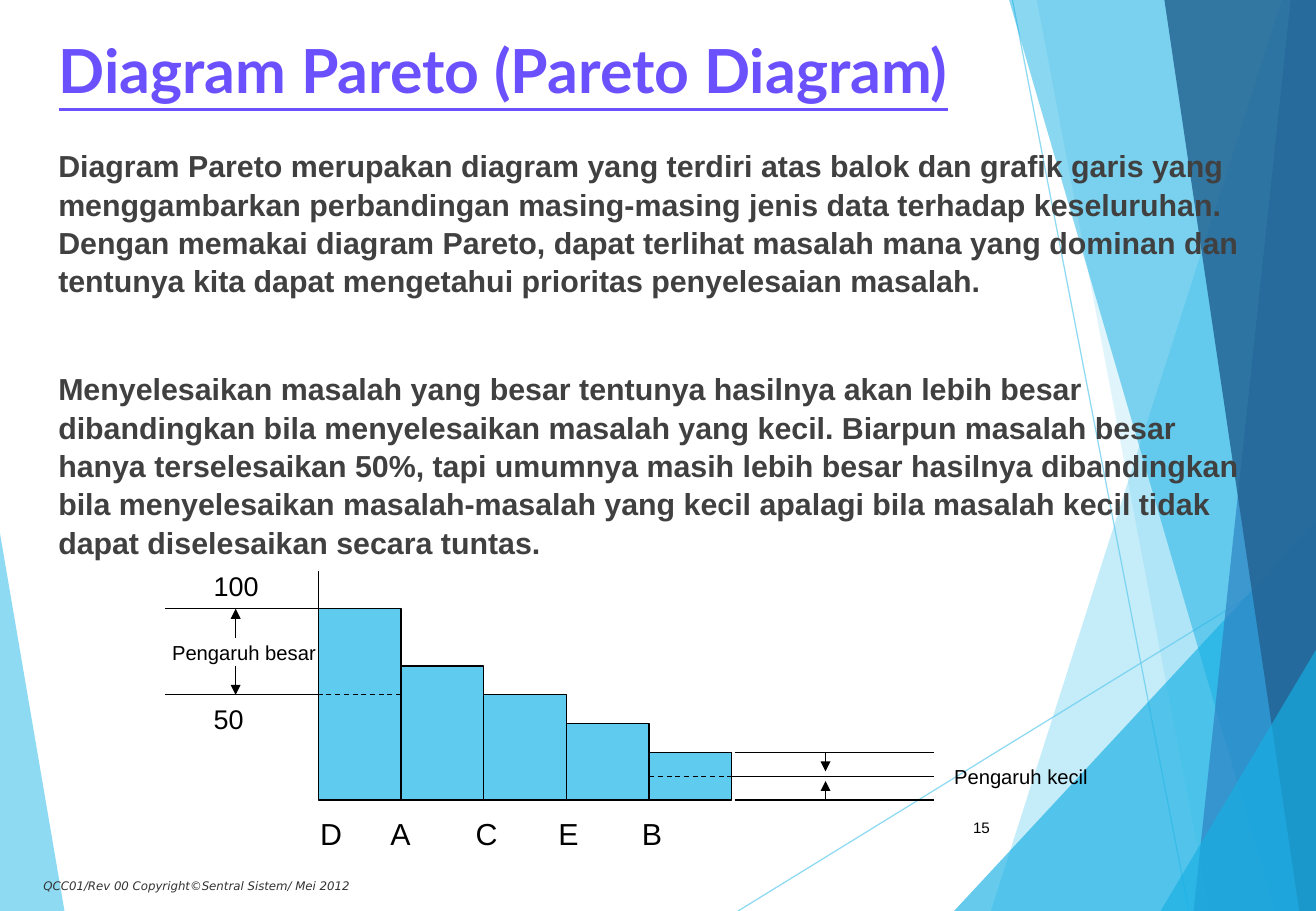
from dataclasses import dataclass

import pptx
import pptx.dml.color
import pptx.enum.dml
import pptx.enum.shapes
import pptx.enum.text
import pptx.oxml
import pptx.oxml.ns
import pptx.util
from pptx.util import Cm

WIDTH, HEIGHT = 27.53, 19.05
COLORS = {
    "sky": "5FCBEF",
    "cyan": "17B0E4",
    "blue": "2E83C3",
    "navy": "236292",
    "violet": "6A51FD",
    "body": "404040",
    "footer": "333333",
    "black": "000000",
}
BASELINE = 16.73
BAR_LEFT, BAR_WIDTH = 6.66, 1.73
BAR_HEIGHTS = [4.0, 2.8, 2.2, 1.6, 1.0]
FULL = BASELINE - BAR_HEIGHTS[0]
HALF = BASELINE - BAR_HEIGHTS[2]
LOW = BASELINE - BAR_HEIGHTS[-1]
LOW_MIDDLE = BASELINE - BAR_HEIGHTS[-1] / 2

Point = tuple[float, float]


@dataclass
class Facet:
    points: list[Point]
    color: str
    opacity: int


@dataclass
class Line:
    start: Point
    end: Point
    color: str = "black"
    opacity: int = 100
    dashed: bool = False
    arrow: bool = False


@dataclass
class Label:
    text: str
    left: float
    top: float
    width: float
    size: int


LEFT_FACET = Facet([(0, 11.15), (1.35, HEIGHT), (0, HEIGHT)], "sky", 70)
BACKDROP_LINES = [
    Line((15.44, HEIGHT), (WIDTH, 11.61), "sky", 70),
    Line((21.18, 0), (24.87, HEIGHT), "sky", 70),
]


def right_facet(top: float, bottom: float, color: str, opacity: int) -> Facet:
    return Facet([(top, 0), (bottom, HEIGHT), (WIDTH, HEIGHT), (WIDTH, 0)], color, opacity)


def corner_facet(left: float, top: float) -> Facet:
    return Facet([(left, HEIGHT), (WIDTH, top), (WIDTH, HEIGHT)], "cyan", 66)


RIGHT_FACETS = [
    right_facet(26.82, 20.73, "sky", 36),
    right_facet(21.69, 25.3, "sky", 20),
    corner_facet(19.96, 10.9),
    right_facet(21.11, 26.67, "cyan", 50),
    right_facet(27.0, 24.97, "blue", 70),
    right_facet(24.36, 27.18, "navy", 82),
    corner_facet(24.28, 13.59),
]
CHART_LINES = [
    Line((15.37, LOW), (19.53, LOW)),
    Line((15.37, BASELINE), (19.53, BASELINE)),
    Line((17.27, BASELINE), (17.27, LOW_MIDDLE + 0.1), arrow=True),
    Line((17.27, LOW), (17.27, LOW_MIDDLE - 0.1), arrow=True),
    Line((BAR_LEFT + BAR_WIDTH, HALF), (BAR_LEFT, HALF), dashed=True),
    Line((BAR_LEFT, FULL), (3.45, FULL)),
    Line((BAR_LEFT, HALF), (3.45, HALF)),
    Line((BAR_LEFT, 11.94), (BAR_LEFT, FULL)),
    Line((4.93, 13.92), (4.93, HALF), arrow=True),
    Line((4.93, 13.34), (4.93, FULL), arrow=True),
]
CHART_LABELS = [
    Label("Pengaruh besar", 3.35, 13.34, 3.8, 12),
    Label("Pengaruh kecil", 19.71, 15.93, 3.8, 12),
    Label("100", 4.22, 11.94, 1.8, 16),
    Label("50", 4.22, 14.73, 1.8, 16),
]
BODY_TEXT = (
    "Diagram Pareto merupakan diagram yang terdiri atas balok dan grafik garis yang "
    "menggambarkan perbandingan masing-masing jenis data terhadap keseluruhan. Dengan "
    "memakai diagram Pareto, dapat terlihat masalah mana yang dominan dan tentunya kita "
    "dapat mengetahui prioritas penyelesaian masalah.\n"
    "Menyelesaikan masalah yang besar tentunya hasilnya akan lebih besar dibandingkan bila "
    "menyelesaikan masalah yang kecil. Biarpun masalah besar hanya terselesaikan 50%, tapi "
    "umumnya masih lebih besar hasilnya dibandingkan bila menyelesaikan masalah-masalah yang "
    "kecil apalagi bila masalah kecil tidak dapat diselesaikan secara tuntas."
)


def rgb(name: str) -> pptx.dml.color.RGBColor:
    return pptx.dml.color.RGBColor.from_string(COLORS[name])


def add_element(parent, tag: str, **attributes):
    element = pptx.oxml.parse_xml(f"<{tag} {pptx.oxml.ns.nsdecls('a')}/>")
    for name, value in attributes.items():
        element.set(name, str(value))
    parent.append(element)
    return element


def set_opacity(shape, opacity: int) -> None:
    if opacity < 100:
        color = shape.element.find(".//" + pptx.oxml.ns.qn("a:srgbClr"))
        add_element(color, "a:alpha", val=opacity * 1000)


def write_text(shape, text: str, *, size: float, font: str = "Arial", color: str = "black",
               bold: bool = False, italic: bool = False, underline: bool = False,
               align: str = "LEFT", anchor: str = "TOP", gap: float = 0,
               line_spacing: float = 1.0, tabs: tuple[float, ...] = ()) -> None:
    frame = shape.text_frame
    frame.text = text
    frame.word_wrap = True
    frame.auto_size = pptx.enum.text.MSO_AUTO_SIZE.NONE
    frame.vertical_anchor = pptx.enum.text.MSO_ANCHOR[anchor]
    for index, paragraph in enumerate(frame.paragraphs):
        paragraph.alignment = pptx.enum.text.PP_ALIGN[align]
        paragraph.line_spacing = line_spacing
        paragraph.space_before = pptx.util.Pt(gap if index else 0)
        if tabs:
            tab_list = add_element(paragraph._p.get_or_add_pPr(), "a:tabLst")
            for position in tabs:
                add_element(tab_list, "a:tab", pos=Cm(position), algn="l")
        for run in paragraph.runs:
            run.font.size = pptx.util.Pt(size)
            run.font.name = font
            run.font.bold = bold
            run.font.italic = italic
            run.font.underline = underline
            run.font.color.rgb = rgb(color)


def add_text(slide, text: str, box: tuple[float, float, float, float], **text_format) -> None:
    write_text(slide.shapes.add_textbox(*map(Cm, box)), text, **text_format)


def add_facet(slide, facet: Facet) -> None:
    start, *others = [(Cm(x), Cm(y)) for x, y in facet.points]
    builder = slide.shapes.build_freeform(*start)
    builder.add_line_segments(others)
    shape = builder.convert_to_shape()
    shape.shadow.inherit = False
    shape.fill.solid()
    shape.fill.fore_color.rgb = rgb(facet.color)
    shape.line.fill.background()
    set_opacity(shape, facet.opacity)


def add_line(slide, line: Line):
    connector = slide.shapes.add_connector(
        pptx.enum.shapes.MSO_CONNECTOR.STRAIGHT, *map(Cm, (*line.start, *line.end)))
    connector.line.color.rgb = rgb(line.color)
    connector.line.width = pptx.util.Pt(0.75)
    if line.dashed:
        connector.line.dash_style = pptx.enum.dml.MSO_LINE.DASH
    if line.arrow:
        add_element(connector.line._get_or_add_ln(), "a:tailEnd", type="triangle")
    add_element(connector.element.spPr, "a:effectLst")
    set_opacity(connector, line.opacity)
    return connector


def add_bar(slide, index: int, height: float):
    bar = slide.shapes.add_shape(
        pptx.enum.shapes.MSO_SHAPE.RECTANGLE, Cm(BAR_LEFT + index * BAR_WIDTH),
        Cm(BASELINE - height), Cm(BAR_WIDTH), Cm(height))
    bar.shadow.inherit = False
    bar.fill.solid()
    bar.fill.fore_color.rgb = rgb("sky")
    bar.line.color.rgb = rgb("black")
    bar.line.width = pptx.util.Pt(0.75)
    return bar


def add_pareto(slide) -> None:
    bars = [add_bar(slide, index, height) for index, height in enumerate(BAR_HEIGHTS)]
    for line in CHART_LINES:
        add_line(slide, line)
    bar_right = BAR_LEFT + len(bars) * BAR_WIDTH
    middle = add_line(slide, Line((bar_right, LOW_MIDDLE), (19.53, LOW_MIDDLE)))
    middle.begin_connect(bars[-1], 3)
    dashes = add_line(slide, Line((bar_right - BAR_WIDTH, LOW_MIDDLE),
                                  (bar_right, LOW_MIDDLE), dashed=True))
    dashes.begin_connect(bars[-1], 1)
    dashes.end_connect(bars[-1], 3)
    for label in CHART_LABELS:
        add_text(slide, label.text, (label.left, label.top, label.width, 0.61),
                 size=label.size, anchor="MIDDLE")
    add_text(slide, "D\tA\tC\tE\tB", (6.45, 17.12, 8.64, 0.61), size=18,
             anchor="MIDDLE", tabs=(1.47, 3.25, 4.98, 6.73))


def main() -> None:
    presentation = pptx.Presentation()
    presentation.slide_width, presentation.slide_height = Cm(WIDTH), Cm(HEIGHT)
    slide = presentation.slides.add_slide(presentation.slide_layouts[5])
    add_facet(slide, LEFT_FACET)
    for line in BACKDROP_LINES:
        add_line(slide, line)
    for facet in RIGHT_FACETS:
        add_facet(slide, facet)
    add_text(slide, "QCC01/Rev 00 Copyright©Sentral Sistem/ Mei 2012", (0.66, 18.26, 14.02, 0.4),
             size=7, font="DejaVu Sans", color="footer", italic=True)
    title = slide.shapes.title
    title.element.getparent().append(title.element)
    title.left, title.top, title.width, title.height = map(Cm, (0.97, 0.56, 24.77, 2.57))
    write_text(title, "Diagram Pareto (Pareto Diagram)", size=36, font="Lato",
               color="violet", bold=True, underline=True)
    add_text(slide, BODY_TEXT, (0.97, 2.92, 25.4, 12.57), size=18, color="body",
             bold=True, gap=41.6, line_spacing=1.05)
    add_text(slide, "15", (19.41, 16.79, 1.55, 1.02), size=9, align="RIGHT", anchor="MIDDLE")
    add_pareto(slide)
    presentation.save("out.pptx")


if __name__ == "__main__":
    main()
